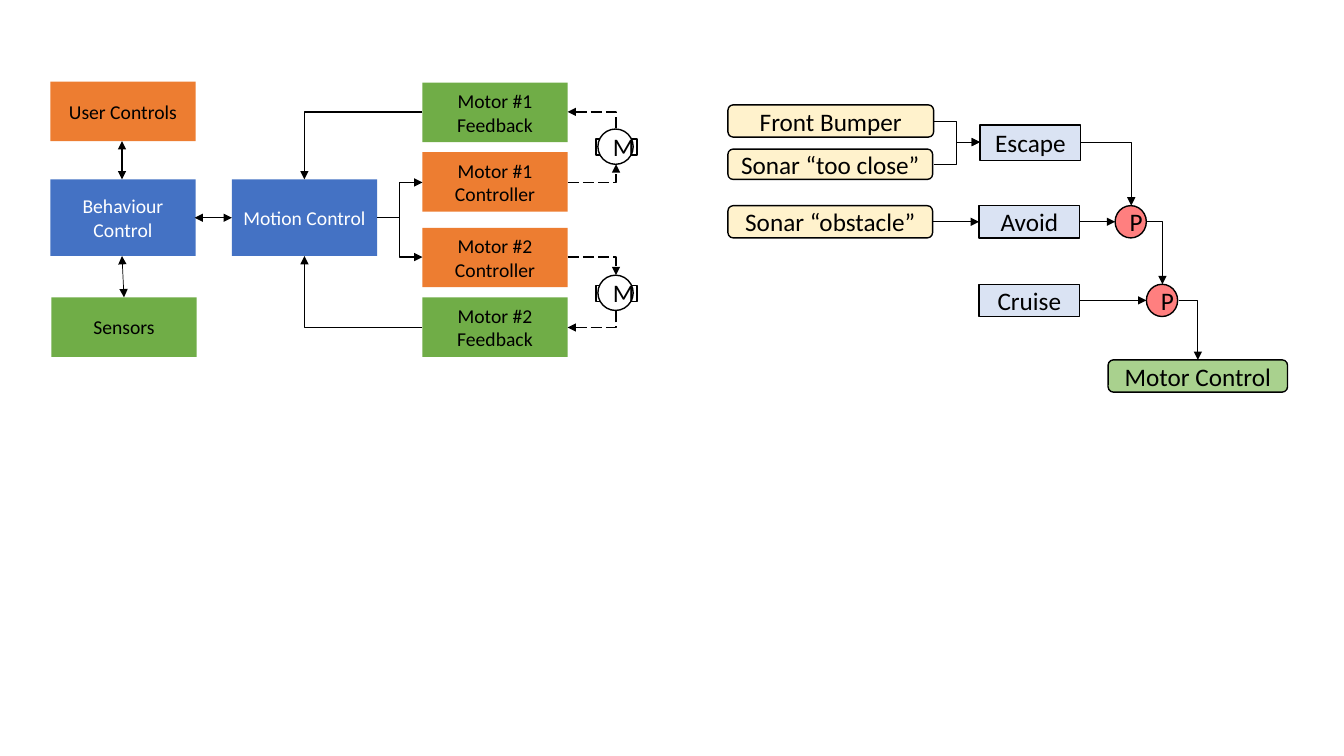
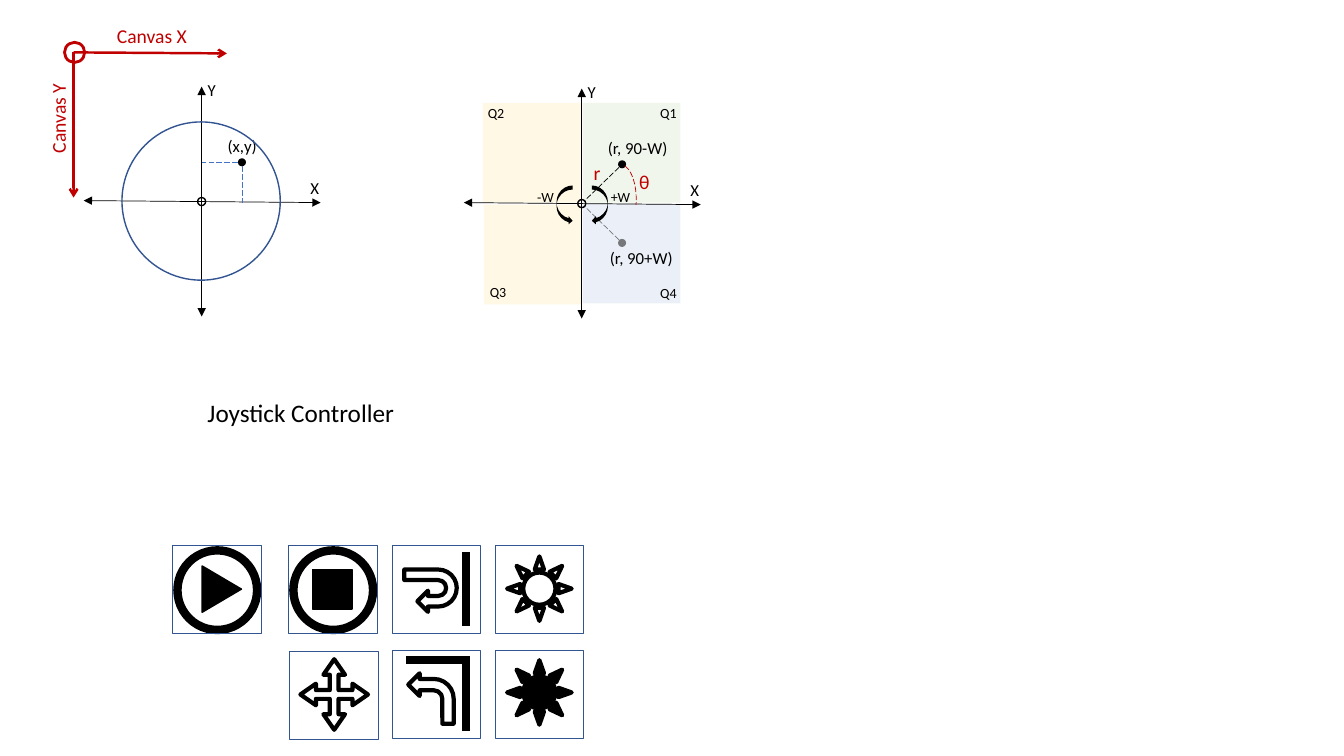
from pptx import Presentation
from pptx.dml.color import RGBColor
from pptx.enum.dml import MSO_LINE
from pptx.enum.shapes import MSO_CONNECTOR, MSO_SHAPE
from pptx.enum.text import MSO_AUTO_SIZE, PP_ALIGN
from pptx.oxml.ns import qn
from pptx.util import Inches, Pt
from lxml.etree import SubElement

# Shared colours and style
FONT = "Calibri"
BLACK, WHITE, RED, NAVY = "000000", "FFFFFF", "C00000", "325491"
BLUE, ORANGE, GREEN, GOLD = "4472C4", "ED7D31", "70AD47", "FFC000"
CREAM, PALE, LEAF = "FFF2CC", "DAE3F3", "A9D18E"
RECT, ROUND, OVAL = MSO_SHAPE.RECTANGLE, MSO_SHAPE.ROUNDED_RECTANGLE, MSO_SHAPE.OVAL
tint = RGBColor.from_string


def box(page, kind, at, fill=None, edge=None, thick=1, text="", size=18,
        ink=BLACK, alpha=None, turn=0):
    """Add a shape, or a plain label when kind is None."""
    place = [Inches(n) for n in at]
    if kind is None:
        item = page.shapes.add_textbox(*place)
        item.text_frame.word_wrap = False
        item.text_frame.auto_size = MSO_AUTO_SIZE.SHAPE_TO_FIT_TEXT
    else:
        item = page.shapes.add_shape(kind, *place)
        item.shadow.inherit = False
        if fill:
            item.fill.solid()
            item.fill.fore_color.rgb = tint(fill)
        else:
            item.fill.background()
        if edge:
            item.line.color.rgb = tint(edge)
            item.line.width = Pt(thick)
        else:
            item.line.fill.background()
    if alpha:
        color = item._element.xpath(".//a:srgbClr")[0]
        SubElement(color, qn("a:alpha"), val=str(alpha * 1000))
    if text:
        para = item.text_frame.paragraphs[0]
        para.text = text
        para.alignment = PP_ALIGN.LEFT if kind is None else PP_ALIGN.CENTER
        para.font.name, para.font.size = FONT, Pt(size)
        para.font.color.rgb = tint(ink)
    item.rotation = turn
    return item


def wire(page, start, end, ends="", thick=0.5, ink=BLACK, bend=0, dash=False,
         alpha=None, tip="triangle"):
    """Add a line with 0, 1 or 2 bends; ends holds h and t for its arrowheads."""
    kind = MSO_CONNECTOR.ELBOW if bend else MSO_CONNECTOR.STRAIGHT
    item = page.shapes.add_connector(kind, *[Inches(n) for n in start + end])
    item.line.color.rgb = tint(ink)
    item.line.width = Pt(thick)
    if dash:
        item.line.dash_style = MSO_LINE.LONG_DASH
    props = item._element.spPr
    if bend == 1:
        props.find(qn("a:prstGeom")).set("prst", "bentConnector2")
    if alpha:
        SubElement(props.xpath(".//a:srgbClr")[0], qn("a:alpha"), val=str(alpha * 1000))
    for mark, tag in (("h", "a:headEnd"), ("t", "a:tailEnd")):
        if mark in ends:
            SubElement(props.find(qn("a:ln")), qn(tag), type=tip)
    SubElement(props, qn("a:effectLst"))


deck = Presentation()
deck.slide_width, deck.slide_height = Inches(13.33), Inches(7.5)
flow, stick = [deck.slides.add_slide(deck.slide_layouts[6]) for _ in range(2)]

# Slide 1: control blocks
for text, left, top, high, fill, ink in (
        ("User Controls", 0.5, 0.81, 0.59, ORANGE, BLACK),
        ("Behaviour Control", 0.5, 1.78, 0.76, BLUE, WHITE),
        ("Sensors", 0.51, 2.95, 0.59, GREEN, BLACK),
        ("Motion Control", 2.3, 1.78, 0.76, BLUE, WHITE),
        ("Motor #1 Feedback", 4.19, 0.82, 0.59, GREEN, BLACK),
        ("Motor #1 Controller", 4.19, 1.51, 0.59, ORANGE, BLACK),
        ("Motor #2 Controller", 4.19, 2.26, 0.59, ORANGE, BLACK),
        ("Motor #2 Feedback", 4.19, 2.95, 0.59, GREEN, BLACK)):
    box(flow, RECT, (left, top, 1.44, high), fill, text=text, size=14, ink=ink)
wire(flow, (1.21, 1.78), (1.21, 1.4), "ht", 1)
wire(flow, (1.21, 2.54), (1.23, 2.95), "ht")
wire(flow, (1.93, 2.16), (2.3, 2.16), "ht")

# Each motor: feedback, command and dashed loop
for back, edge, drive, enter, leave, top in (
        (1.11, 1.78, 1.81, 1.63, 1.28, 1.28),
        (3.25, 2.54, 2.55, 2.73, 3.09, 2.73)):
    wire(flow, (4.19, back), (3.02, edge), "t", 1, bend=1)
    wire(flow, (3.74, 2.16), (4.19, drive), "t", 1, bend=2)
    wire(flow, (5.63, drive), (6.11, enter), "t", 1, bend=1, dash=True)
    wire(flow, (5.63, back), (6.11, leave), "h", 1, bend=1, dash=True)
    box(flow, RECT, (5.91, top + 0.1, 0.41, 0.16), WHITE, BLACK)
    box(flow, OVAL, (5.93, top, 0.35, 0.35), WHITE, BLACK, text="M")

# Behaviour priorities
for text, kind, at, fill in (
        ("Front Bumper", ROUND, (7.22, 1.04, 2.04, 0.32), CREAM),
        ("Sonar “too close”", ROUND, (7.22, 1.48, 2.03, 0.3), CREAM),
        ("Sonar “obstacle”", ROUND, (7.22, 2.04, 2.03, 0.32), CREAM),
        ("Escape", RECT, (9.72, 1.24, 1, 0.35), PALE),
        ("Avoid", RECT, (9.71, 2.04, 1, 0.32), PALE),
        ("Cruise", RECT, (9.71, 2.82, 1, 0.32), PALE),
        ("Motor Control", ROUND, (10.99, 3.57, 1.78, 0.32), LEAF)):
    box(flow, kind, at, fill, BLACK, text=text)
for left, top in ((11.06, 2.04), (11.37, 2.82)):
    box(flow, OVAL, (left, top, 0.31, 0.32), "FF0000", BLACK, text="P", alpha=50)
for start, end, bend in (
        ((9.26, 1.2), (9.72, 1.41), 2), ((9.26, 1.63), (9.72, 1.41), 2),
        ((9.25, 2.2), (9.71, 2.2), 0), ((10.71, 2.2), (11.06, 2.2), 0),
        ((10.71, 2.98), (11.37, 2.98), 0), ((10.72, 1.41), (11.22, 2.04), 1),
        ((11.37, 2.2), (11.53, 2.82), 1), ((11.69, 2.98), (11.88, 3.57), 1)):
    wire(flow, start, end, "t", bend=bend)

# Slide 2: quadrants
for left, top, fill in ((5.78, 2.02, BLUE), (5.78, 1.02, GREEN),
                        (4.79, 1.02, GOLD), (4.8, 2.03, GOLD)):
    box(stick, RECT, (left, top, 0.97, 0.99), fill, alpha=10)

# Axes, origin and point of both diagrams
for dx, dy in ((0, 0), (3.77, 0.02)):
    box(stick, None, (2.98 + dx, 1.71 + dy, 0.29, 0.3), text="X", size=12)
    box(stick, None, (1.96 + dx, 0.74 + dy, 0.28, 0.3), text="Y", size=12)
    box(stick, OVAL, (2.36 + dx, 1.57 + dy, 0.08, 0.08), BLACK)
    box(stick, OVAL, (1.96 + dx, 1.96 + dy, 0.08, 0.08), edge=BLACK)
    wire(stick, (0.83 + dx, 1.99 + dy), (3.18 + dx, 2.01 + dy), "ht")
    wire(stick, (2 + dx, 0.86 + dy), (2 + dx, 3.14 + dy), "ht")

# Labels
for text, left, top, wide, size, ink in (
        ("(x,y)", 2.16, 1.3, 0.53, 12, BLACK),
        ("(r, 90-W)", 5.93, 1.32, 0.83, 12, BLACK),
        ("(r, 90+W)", 5.95, 2.41, 0.97, 12, BLACK),
        ("+W", 5.96, 1.82, 0.4, 10, BLACK), ("-W", 5.23, 1.82, 0.37, 10, BLACK),
        ("Q1", 6.45, 0.99, 0.37, 10, BLACK), ("Q2", 4.74, 0.99, 0.37, 10, BLACK),
        ("Q3", 4.76, 2.76, 0.37, 10, BLACK), ("Q4", 6.45, 2.77, 0.37, 10, BLACK),
        ("r", 5.79, 1.55, 0.27, 14, RED), ("θ", 6.24, 1.64, 0.31, 14, RED),
        ("Canvas X", 1.06, 0.19, 0.91, 14, RED),
        ("Joystick Controller", 1.96, 3.89, 2.07, 18, BLACK)):
    high = {10: 0.27, 12: 0.3, 14: 0.34, 18: 0.4}[size]
    box(stick, None, (left, top, wide, high), text=text, size=size, ink=ink)
box(stick, None, (0.13, 1, 0.9, 0.34), text="Canvas Y", size=14, ink=RED, turn=270)

# Canvas diagram
box(stick, OVAL, (1.21, 1.21, 1.57, 1.57), edge=NAVY)
wire(stick, (2.4, 1.65), (2.4, 2.02), ink=BLUE, dash=True)
wire(stick, (2.36, 1.61), (2, 1.61), ink=BLUE, dash=True)
for end in ((2.25, 0.53), (0.73, 1.96)):
    wire(stick, (0.73, 0.52), end, "t", 1.75, RED, tip="arrow")
box(stick, OVAL, (0.64, 0.42, 0.2, 0.2), edge=RED, thick=2)

# Polar diagram
wire(stick, (6.14, 1.66), (5.8, 1.99), dash=True)
wire(stick, (6.14, 2.38), (5.8, 2.05), dash=True, alpha=50)
box(stick, OVAL, (6.13, 2.37, 0.08, 0.08), BLACK, alpha=50)
box(stick, MSO_SHAPE.CURVED_RIGHT_ARROW, (5.52, 1.84, 0.16, 0.39), BLACK)
box(stick, MSO_SHAPE.CURVED_LEFT_ARROW, (5.87, 1.84, 0.16, 0.39), BLACK)
arc = box(stick, MSO_SHAPE.ARC, (5.99, 1.63, 0.32, 0.69), edge=RED, thick=0.5)
arc.line.dash_style = MSO_LINE.LONG_DASH
arc.adjustments[0], arc.adjustments[1] = 166.92, 12.12

# Icon rings and frames
for left in (1.76, 2.91):
    box(stick, OVAL, (left, 5.46, 0.79, 0.79), edge=BLACK, thick=6)
for left, top in ((1.71, 5.41), (2.86, 5.41), (3.89, 5.41), (4.91, 5.41),
                  (2.87, 6.46), (3.89, 6.45), (4.91, 6.45)):
    box(stick, RECT, (left, top, 0.88, 0.88), edge=NAVY, thick=0)

# Icon signs
box(stick, MSO_SHAPE.ISOSCELES_TRIANGLE, (1.97, 5.65, 0.46, 0.39), BLACK, BLACK, turn=90)
box(stick, RECT, (3.1, 5.65, 0.39, 0.39), BLACK, BLACK)
for top, fill in ((5.52, None), (6.55, BLACK)):
    box(stick, MSO_SHAPE.SUN, (5.03, top, 0.64, 0.64), fill, BLACK, 3)
for start, end in (((4.62, 5.48), (4.62, 6.21)), ((4.62, 6.52), (4.62, 7.25)),
                   ((4.66, 6.55), (4.03, 6.55))):
    wire(stick, start, end, thick=6)
box(stick, MSO_SHAPE.U_TURN_ARROW, (4.06, 5.6, 0.42, 0.52), edge=BLACK, thick=3, turn=90)
turn = box(stick, MSO_SHAPE.BENT_ARROW, (4.05, 6.68, 0.45, 0.5), edge=BLACK, thick=3)
turn._element.spPr.find(qn("a:xfrm")).set("flipH", "1")
quad = box(stick, MSO_SHAPE.QUAD_ARROW, (2.98, 6.54, 0.67, 0.7), edge=BLACK, thick=3)
for spot, size in enumerate((0.13, 0.16, 0.23)):
    quad.adjustments[spot] = size

deck.save("out.pptx")
